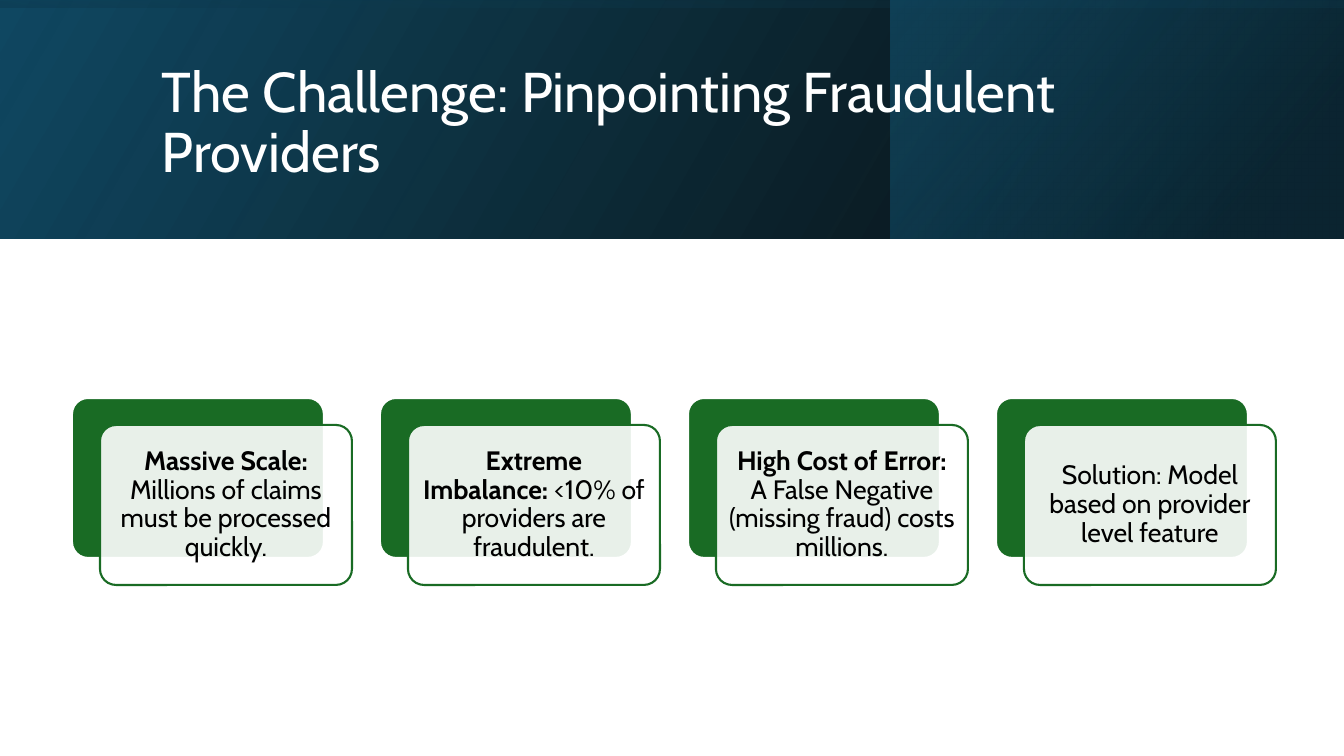
from pptx import Presentation
from pptx.dml.color import RGBColor
from pptx.enum.shapes import MSO_SHAPE
from pptx.enum.text import MSO_ANCHOR, PP_ALIGN
from pptx.oxml.ns import qn
from pptx.util import Emu, Pt
from lxml import etree

RECT, ROUNDED = MSO_SHAPE.RECTANGLE, MSO_SHAPE.ROUNDED_RECTANGLE
MIDDLE = MSO_ANCHOR.MIDDLE
LEFT, CENTER = PP_ALIGN.LEFT, PP_ALIGN.CENTER

# Content: text runs are (text, bold)
TITLE = [("The Challenge: Pinpointing Fraudulent Providers", False)]
CARDS = [
    [("Massive Scale:", True),
     (" Millions of claims must be processed quickly.", False)],
    [("Extreme Imbalance:", True),
     (" <10% of providers are fraudulent.", False)],
    [("High Cost of Error:", True),
     (" A False Negative (missing fraud) costs millions.", False)],
    [("Solution: Model based on provider level feature", False)],
]
# Header layers: box, rotation, counter-clockwise angle, (position, colour, opacity %)
HEADER_LAYERS = [
    ((0, 0, 1344, 239), 0, 30, [(0, "000000", 96), (1, "104862", 100)]),
    ((891, 0, 452, 239), 0, 40, [(0.19, "0B3041", 68), (1, "156082", 48)]),
    ((552, -552, 239, 1344), 270, 10, [(0.23, "104862", 16), (0.99, "000000", 45)]),
]
FONT = "Cabin"
GREEN, WHITE, BLACK = "196B24", "FFFFFF", "000000"

# Layout in px
EMU_PER_PX = 914400 / 100.8
SLIDE_W, SLIDE_H = 1344, 756
TITLE_BOX = (152, 38, 1072, 173)
CARD_X, CARD_Y, CARD_STEP = 72, 398, 308
CARD_W, CARD_H = 252, 160
FRONT_DX, FRONT_DY = 28, 27
CARD_INSET = 8


def px(length):
    return Emu(round(length * EMU_PER_PX))


def rgb(value):
    return RGBColor.from_string(value)


def set_opacity(color_parent, percent):
    color = color_parent.find(".//" + qn("a:srgbClr"))
    etree.SubElement(color, qn("a:alpha")).set("val", str(percent * 1000))


def add_box(slide, kind, box):
    shape = slide.shapes.add_shape(kind, *map(px, box))
    shape.shadow.inherit = False
    return shape


def add_header_layer(slide, box, rotation, angle, stops):
    layer = add_box(slide, RECT, box)
    layer.rotation = rotation
    layer._element.spPr.find(qn("a:xfrm")).set("flipH", "1")
    layer.line.fill.background()
    layer.fill.gradient()
    layer.fill.gradient_angle = angle
    for stop, (position, color, opacity) in zip(layer.fill.gradient_stops, stops):
        stop.position = position
        stop.color.rgb = rgb(color)
    stop_elements = layer._element.spPr.iter(qn("a:gs"))
    for element, (position, color, opacity) in zip(stop_elements, stops):
        set_opacity(element, opacity)


def add_card_panel(slide, x, y, fill, line):
    panel = add_box(slide, ROUNDED, (x, y, CARD_W, CARD_H))
    panel.adjustments[0] = 0.1
    panel.fill.solid()
    panel.fill.fore_color.rgb = rgb(fill)
    panel.line.color.rgb = rgb(line)
    panel.line.width = Pt(1.5)
    return panel


def write_text(shape, runs, size, color, align):
    frame = shape.text_frame
    frame.word_wrap = True
    frame.vertical_anchor = MIDDLE
    paragraph = frame.paragraphs[0]
    paragraph.alignment = align
    paragraph.line_spacing = 0.9
    for text, bold in runs:
        run = paragraph.add_run()
        run.text = text
        run.font.name = FONT
        run.font.size = Pt(size)
        run.font.bold = bold
        run.font.color.rgb = rgb(color)


def main():
    prs = Presentation()
    prs.slide_width, prs.slide_height = px(SLIDE_W), px(SLIDE_H)
    slide = prs.slides.add_slide(prs.slide_layouts[6])

    # Header band and title
    for layer in HEADER_LAYERS:
        add_header_layer(slide, *layer)
    title = slide.shapes.add_textbox(*map(px, TITLE_BOX))
    write_text(title, TITLE, 40, WHITE, LEFT)

    # Cards: green panel behind, translucent panel with text in front
    for index, runs in enumerate(CARDS):
        x = CARD_X + index * CARD_STEP
        add_card_panel(slide, x, CARD_Y, GREEN, WHITE)
        front = add_card_panel(slide, x + FRONT_DX, CARD_Y + FRONT_DY, WHITE, GREEN)
        set_opacity(front._element.spPr.find(qn("a:solidFill")), 90)
        frame = front.text_frame
        frame.margin_left = frame.margin_right = px(CARD_INSET)
        frame.margin_top = frame.margin_bottom = px(CARD_INSET)
        write_text(front, runs, 19, BLACK, CENTER)

    prs.save("out.pptx")


if __name__ == "__main__":
    main()
